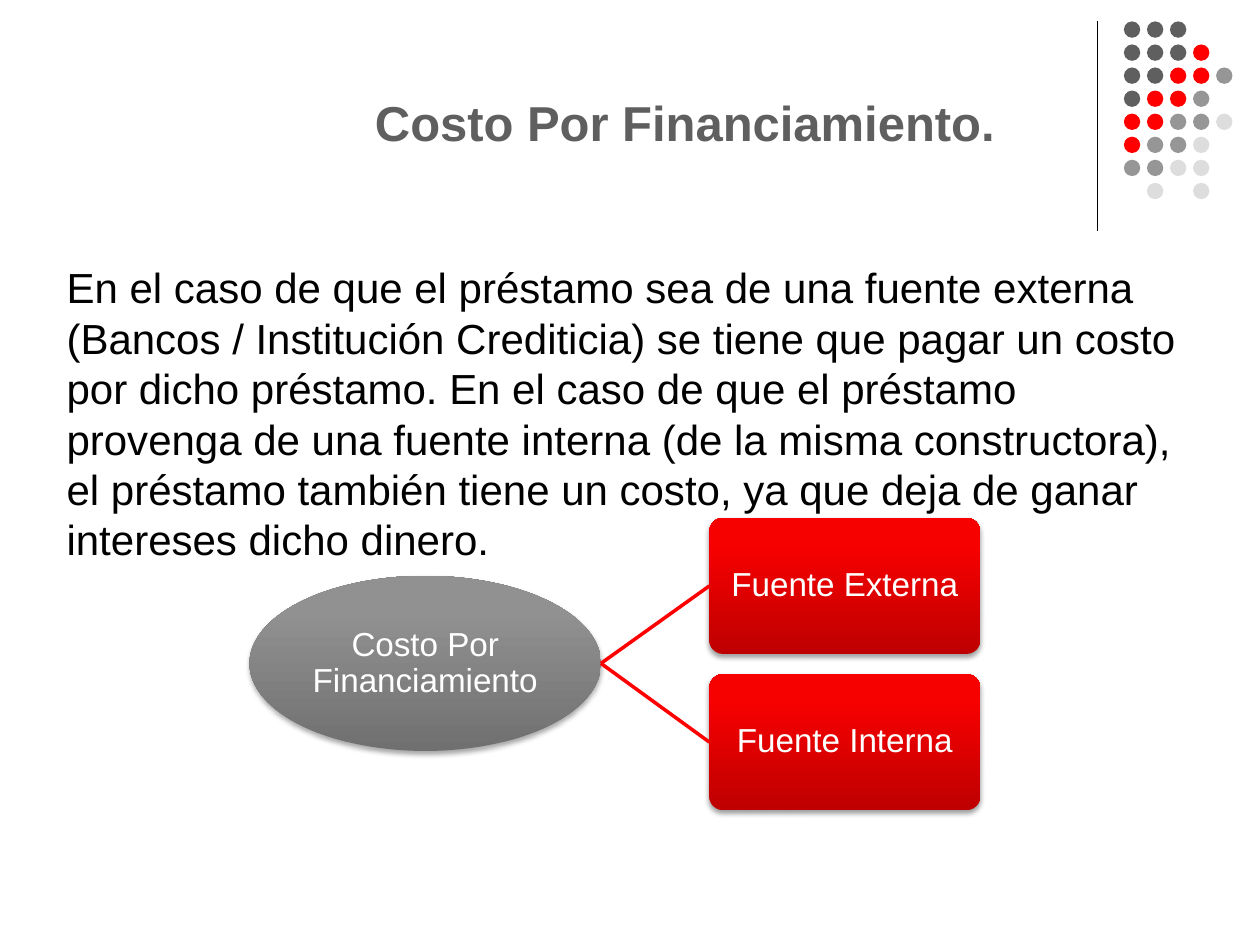
from lxml.etree import SubElement
from pptx import Presentation
from pptx.dml.color import RGBColor
from pptx.enum.shapes import MSO_CONNECTOR, MSO_SHAPE
from pptx.enum.text import MSO_ANCHOR, PP_ALIGN
from pptx.oxml.ns import qn
from pptx.util import Inches, Pt

WIDTH, HEIGHT = 10, 7.5
DOT_COLORS = {"d": "5F5F5F", "r": "FF0000", "m": "969696", "l": "DDDDDD"}
DOT_ROWS = ["ddd", "dddr", "ddrrm", "drrm", "rrmml", "rmml", "mmll", " l l"]
DOT_LEFT, DOT_TOP, DOT_STEP, DOT_SIZE = 8.92, 0.17, 0.183, 0.13
GRAY, RED = ("707070", "919191"), ("BE0000", "F70000")
SOURCE_LEFT, SOURCE_TOP, SOURCE_STEP = 5.63, 4.11, 1.24
SOURCE_SIZE = (2.15, 1.08)
COST_BOX = (1.98, 4.57, 2.79, 1.39)
BODY = (
    "En el caso de que el préstamo sea de una fuente externa "
    "(Bancos / Institución Crediticia) se tiene que pagar un costo por dicho "
    "préstamo. En el caso de que el préstamo provenga de una fuente interna "
    "(de la misma constructora), el préstamo también tiene un costo, ya que "
    "deja de ganar intereses dicho dinero."
)


def rgb(color):
    return RGBColor.from_string(color)


def set_text(s, text, size, color, align=PP_ALIGN.LEFT, anchor=MSO_ANCHOR.TOP, bold=False):
    tf = s.text_frame
    tf.word_wrap = True
    tf.vertical_anchor = anchor
    p = tf.paragraphs[0]
    p.text = text
    p.alignment = align
    font = p.runs[0].font
    font.name, font.size, font.bold = "Arial", Pt(size), bold
    font.color.rgb = rgb(color)


def add_text(slide, box, text, size, color, **style):
    s = slide.shapes.add_textbox(*map(Inches, box))
    set_text(s, text, size, color, **style)


def add_preset(slide, kind, box):
    s = slide.shapes.add_shape(kind, *map(Inches, box))
    s.line.fill.background()
    s.shadow.inherit = False
    return s


def add_dots(slide):
    for row, codes in enumerate(DOT_ROWS):
        for col, code in enumerate(codes):
            if code in DOT_COLORS:
                left, top = DOT_LEFT + col * DOT_STEP, DOT_TOP + row * DOT_STEP
                dot = add_preset(slide, MSO_SHAPE.OVAL, (left, top, DOT_SIZE, DOT_SIZE))
                dot.fill.solid()
                dot.fill.fore_color.rgb = rgb(DOT_COLORS[code])


def add_line(slide, start, end, color, width):
    points = map(Inches, (*start, *end))
    line = slide.shapes.add_connector(MSO_CONNECTOR.STRAIGHT, *points)
    line.line.color.rgb = rgb(color)
    line.line.width = Pt(width)
    SubElement(line._element.spPr, qn("a:effectLst"))
    return line


def add_shadow(s, opacity):
    effects = s._element.spPr.find(qn("a:effectLst"))
    shadow = SubElement(
        effects, qn("a:outerShdw"), blurRad=str(Pt(3.1)), dist=str(Pt(1.7)),
        dir="5400000", rotWithShape="0",
    )
    color = SubElement(shadow, qn("a:srgbClr"), val="000000")
    SubElement(color, qn("a:alpha"), val=str(opacity * 1000))


def add_node(slide, kind, box, text, shades, opacity):
    s = add_preset(slide, kind, box)
    s.fill.gradient()
    s.fill.gradient_angle = 90
    for stop, color, position in zip(s.fill.gradient_stops, shades, (0, 0.8)):
        stop.color.rgb = rgb(color)
        stop.position = position
    add_shadow(s, opacity)
    set_text(s, text, 19, "FFFFFF", PP_ALIGN.CENTER, MSO_ANCHOR.MIDDLE)
    tf = s.text_frame
    tf.margin_left = tf.margin_right = tf.margin_top = tf.margin_bottom = Inches(0.01)
    tf.paragraphs[0].line_spacing = 0.9
    return s


def add_diagram(slide):
    left, top, width, height = COST_BOX
    add_node(slide, MSO_SHAPE.OVAL, COST_BOX, "Costo Por Financiamiento", GRAY, 35)
    start = (left + width, top + height / 2)
    for i, text in enumerate(["Fuente Externa", "Fuente Interna"]):
        box = (SOURCE_LEFT, SOURCE_TOP + i * SOURCE_STEP, *SOURCE_SIZE)
        source = add_node(slide, MSO_SHAPE.ROUNDED_RECTANGLE, box, text, RED, 38)
        source.adjustments[0] = 0.1
        end = (box[0], box[1] + box[3] / 2)
        add_line(slide, start, end, "FF0000", 2).end_connect(source, 1)


def main():
    prs = Presentation()
    prs.slide_width, prs.slide_height = Inches(WIDTH), Inches(HEIGHT)
    slide = prs.slides.add_slide(prs.slide_layouts[6])
    add_line(slide, (8.71, 0.17), (8.71, 1.83), "000000", 0.75)
    add_dots(slide)
    add_text(slide, (0.43, 2.03, 9.18, 2.93), BODY, 24, "000000")
    add_text(
        slide, (2.24, 0.13, 6.39, 1.67), "Costo Por Financiamiento.", 28, "5F5F5F",
        align=PP_ALIGN.CENTER, anchor=MSO_ANCHOR.MIDDLE, bold=True,
    )
    add_diagram(slide)
    prs.save("out.pptx")


if __name__ == "__main__":
    main()
